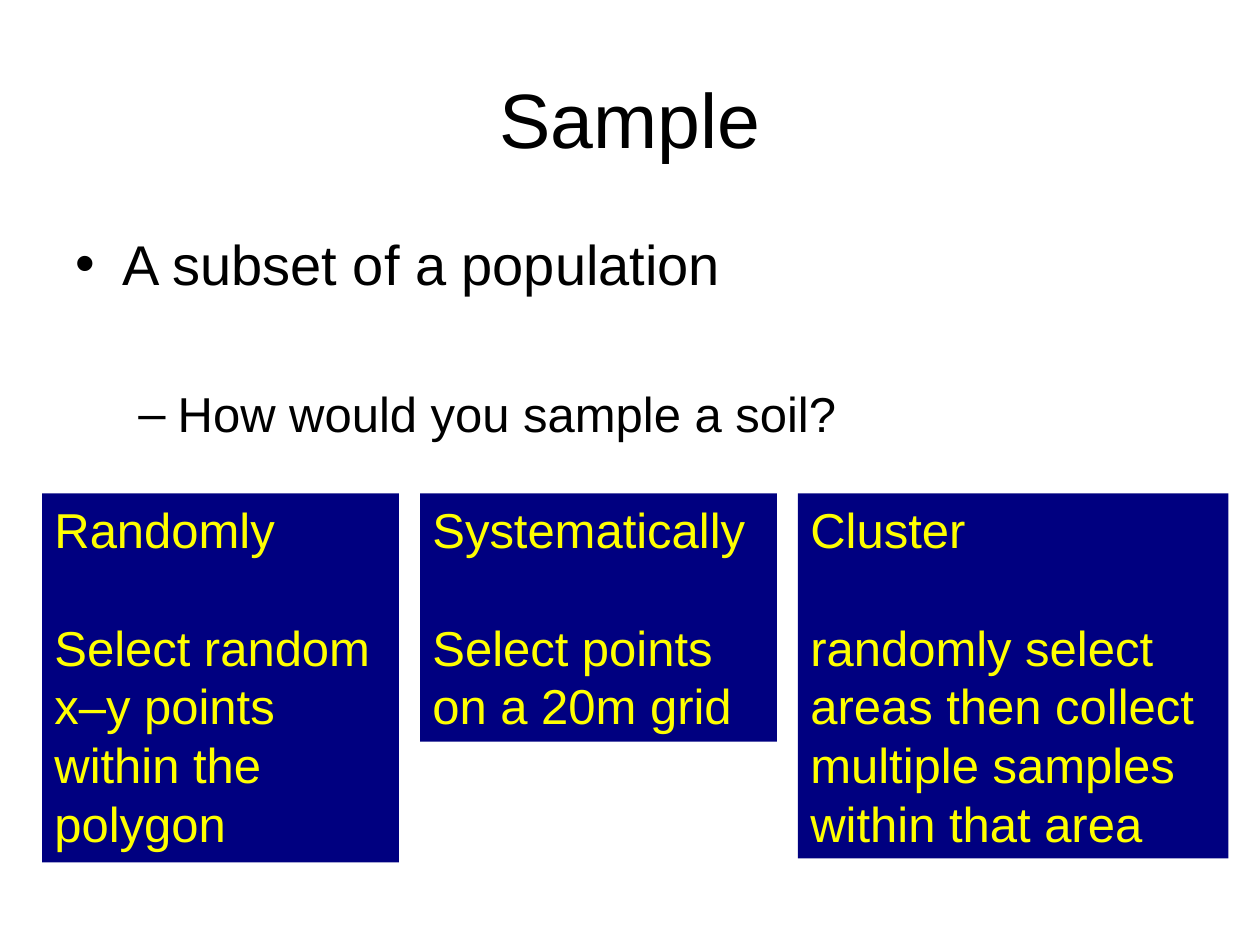
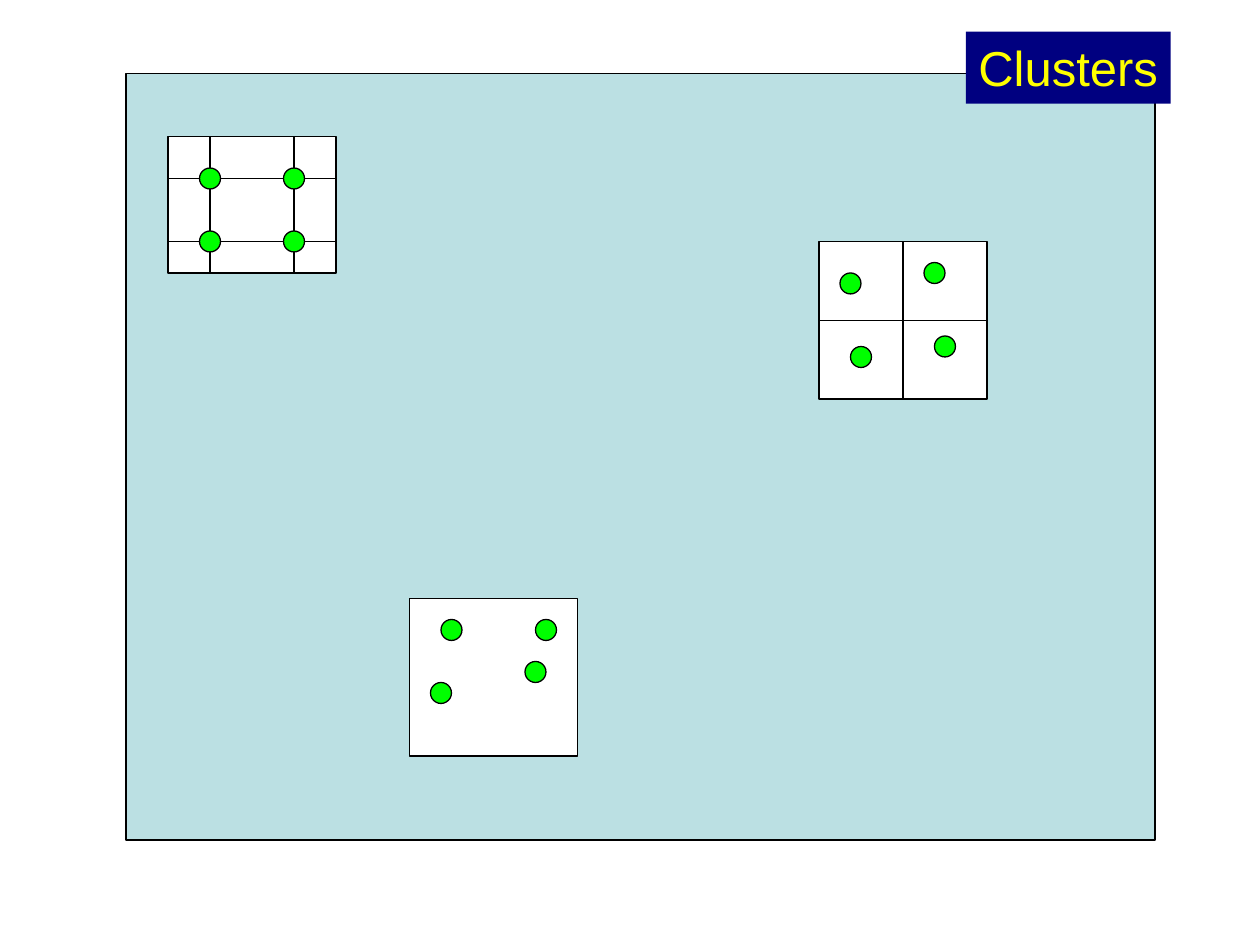
from itertools import product

from lxml import etree
from pptx import Presentation
from pptx.dml.color import RGBColor
from pptx.enum.shapes import MSO_CONNECTOR, MSO_SHAPE
from pptx.enum.text import MSO_ANCHOR, PP_ALIGN
from pptx.oxml.ns import qn
from pptx.util import Pt

PX = 9525
FONT = "Arial"
LINE_HEIGHT = 1.2
BLACK = RGBColor(0x00, 0x00, 0x00)
WHITE = RGBColor(0xFF, 0xFF, 0xFF)
NAVY = RGBColor(0x00, 0x00, 0x80)
YELLOW = RGBColor(0xFF, 0xFF, 0x00)
GREEN = RGBColor(0x00, 0xFF, 0x00)
PALE_BLUE = RGBColor(0xBB, 0xE0, 0xE3)


def add_shape(shapes, kind, left, top, width, height, fill, outline=None):
    shape = shapes.add_shape(kind, left * PX, top * PX, width * PX, height * PX)
    shape.shadow.inherit = False
    shape.fill.solid()
    shape.fill.fore_color.rgb = fill
    if outline is None:
        shape.line.fill.background()
    else:
        shape.line.color.rgb = outline
        shape.line.width = Pt(0.75)
    return shape


def write(frame, index, text, size, color, align=PP_ALIGN.LEFT, gap=0, bullet=None):
    para = frame.add_paragraph() if index else frame.paragraphs[0]
    para.text = text
    para.alignment = align
    para.line_spacing = Pt(size * LINE_HEIGHT)
    if index:
        para.space_before = Pt(gap)
    if bullet:
        mark, margin, hanging = bullet
        props = para._p.get_or_add_pPr()
        props.set("marL", str(margin * PX))
        props.set("indent", str(-hanging * PX))
        etree.SubElement(props, qn("a:buFont"), typeface=FONT)
        etree.SubElement(props, qn("a:buChar"), char=mark)
    para.font.name = FONT
    para.font.size = Pt(size)
    para.font.color.rgb = color


deck = Presentation()
deck.slide_width = 960 * PX
deck.slide_height = 720 * PX
blank = deck.slide_layouts[6]

page = deck.slides.add_slide(blank)

title = page.shapes.add_textbox(48 * PX, 30 * PX, 864 * PX, 120 * PX).text_frame
title.word_wrap = True
title.vertical_anchor = MSO_ANCHOR.MIDDLE
write(title, 0, "Sample", 44, BLACK, PP_ALIGN.CENTER)

body = page.shapes.add_textbox(48 * PX, 170 * PX, 864 * PX, 475 * PX).text_frame
body.word_wrap = True
write(body, 0, "A subset of a population", 32, BLACK, bullet=("•", 36, 36))
write(body, 1, "How would you sample a soil?", 28, BLACK, gap=50, bullet=("–", 78, 30))

methods = [
    (272, 281, ["Randomly", "Select random", "x–y points within the polygon"]),
    (272, 189, ["Systematically", "Select points on a 20m grid"]),
    (328, 278, ["Cluster", "randomly select areas then collect multiple samples within that area"]),
]
for column, (width, height, lines) in enumerate(methods):
    box = add_shape(page.shapes, MSO_SHAPE.RECTANGLE, 32 + 288 * column, 376, width, height, NAVY)
    box.text_frame.word_wrap = True
    box.text_frame.vertical_anchor = MSO_ANCHOR.TOP
    for index, line in enumerate(lines):
        write(box.text_frame, index, line, 28, YELLOW, gap=28 * LINE_HEIGHT if index == 1 else 0)

page = deck.slides.add_slide(blank)
add_shape(page.shapes, MSO_SHAPE.RECTANGLE, 96, 56, 784, 584, PALE_BLUE, BLACK)
label = add_shape(page.shapes, MSO_SHAPE.RECTANGLE, 736, 24, 156, 55, NAVY)
label.text_frame.word_wrap = False
label.text_frame.vertical_anchor = MSO_ANCHOR.TOP
write(label.text_frame, 0, "Clusters", 28, YELLOW)

DOT = 16
PLOT_WIDTH = 128
grid_columns, grid_rows = [32, 96], [32, 80]
plots = [
    (312, 456, 120, [], [], [(32, 24), (24, 72), (104, 24), (96, 56)]),
    (624, 184, 120, [64], [60], [(88, 24), (96, 80), (32, 88), (24, 32)]),
    (128, 104, 104, grid_columns, grid_rows, product(grid_columns, grid_rows)),
]
for left, top, height, columns, rows, points in plots:
    plot = page.shapes.add_group_shape().shapes
    add_shape(plot, MSO_SHAPE.RECTANGLE, left, top, PLOT_WIDTH, height, WHITE, BLACK)
    grid_lines = [(x, 0, x, height) for x in columns] + [(0, y, PLOT_WIDTH, y) for y in rows]
    for x1, y1, x2, y2 in grid_lines:
        rule = plot.add_connector(
            MSO_CONNECTOR.STRAIGHT,
            (left + x1) * PX, (top + y1) * PX, (left + x2) * PX, (top + y2) * PX,
        )
        rule.line.color.rgb = BLACK
        rule.line.width = Pt(0.75)
        etree.SubElement(rule._element.spPr, qn("a:effectLst"))
    for x, y in points:
        add_shape(plot, MSO_SHAPE.OVAL, left + x - DOT // 2, top + y - DOT // 2, DOT, DOT, GREEN, BLACK)

deck.save("out.pptx")
